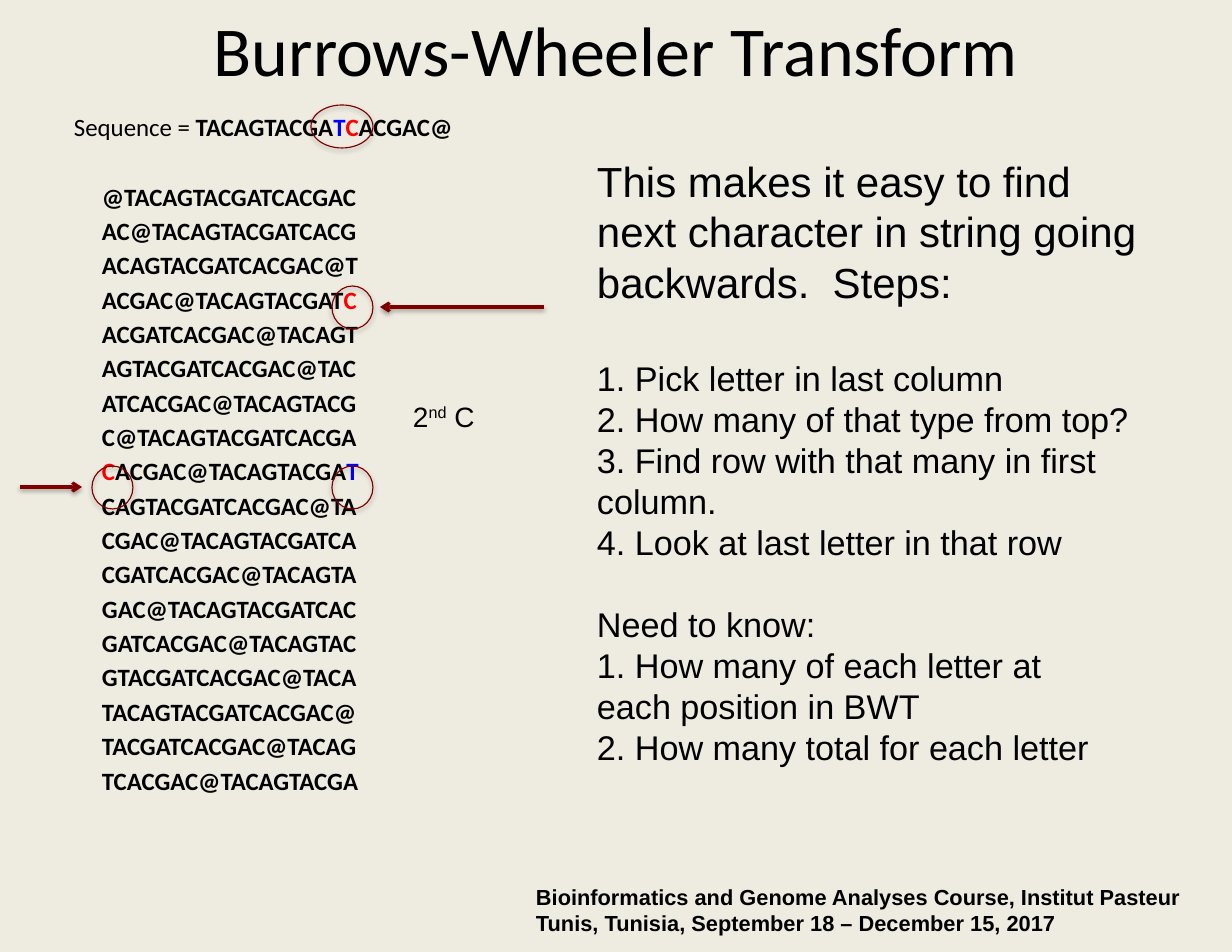
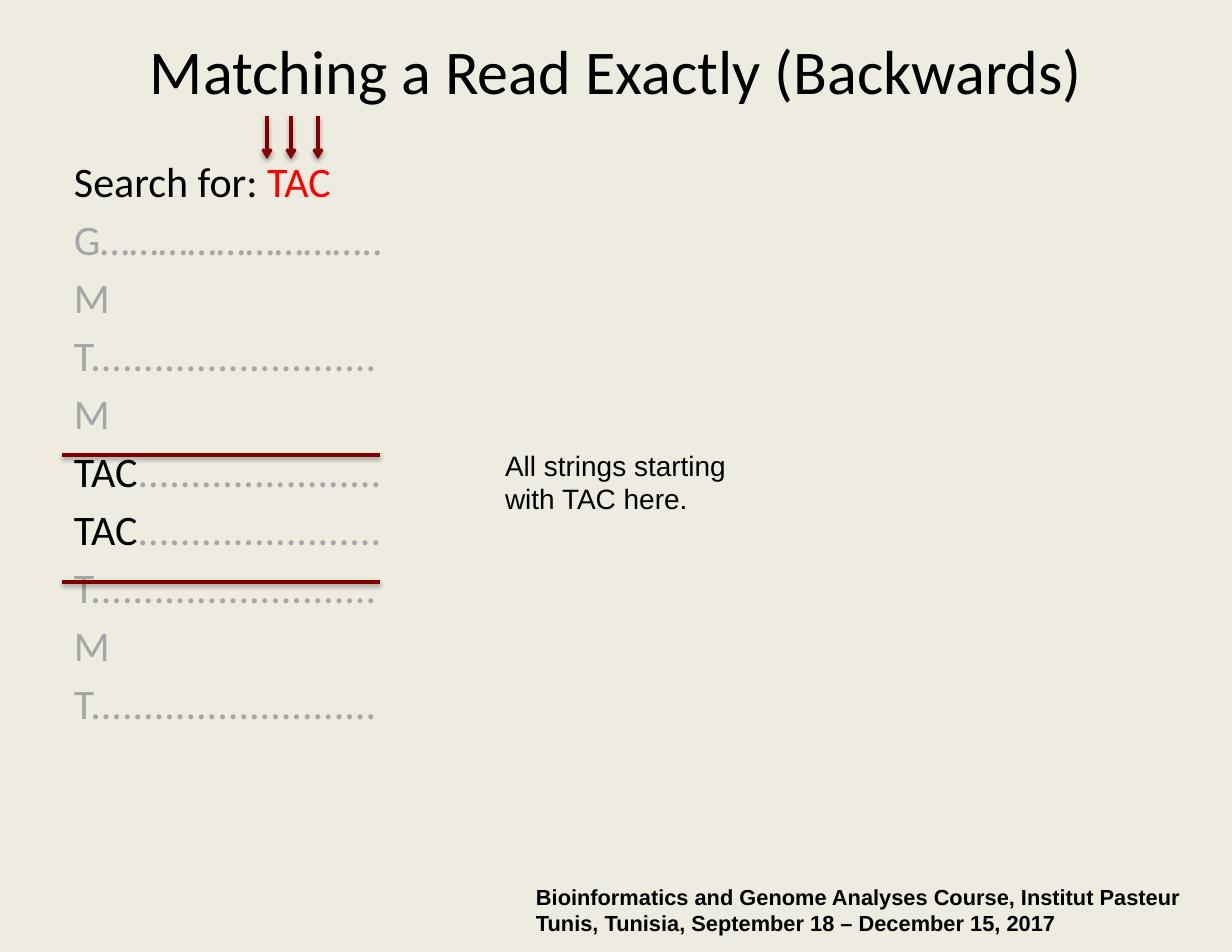
from dataclasses import dataclass

import pptx
import pptx.util
import pptx.dml.color
import pptx.enum.shapes
import pptx.enum.text
import pptx.oxml
import pptx.oxml.ns
from lxml import etree

RGBColor = pptx.dml.color.RGBColor
BACKGROUND = RGBColor(0xEE, 0xEC, 0xE1)
BLACK = RGBColor(0x00, 0x00, 0x00)
RED = RGBColor(0xFF, 0x00, 0x00)
BLUE = RGBColor(0x00, 0x00, 0xFF)
GRAY = RGBColor(0xA6, 0xA6, 0xA6)
MAROON = RGBColor(0x80, 0x00, 0x00)

PX_PER_INCH = 112
TITLE_FONT = "Calibri"
TEXT_FONT = "Arial"
SEQUENCE = "TACAGTACGATCACGAC@"


@dataclass(frozen=True)
class Box:
    x: int
    y: int
    w: int
    h: int


@dataclass(frozen=True)
class Run:
    text: str
    color: RGBColor = BLACK
    bold: bool = False
    superscript: bool = False


@dataclass(frozen=True)
class Para:
    runs: list[Run]
    size: float
    before: float = 0
    line: float | None = None
    indent: int = 0


@dataclass(frozen=True)
class Line:
    x1: int
    y1: int
    x2: int
    y2: int
    arrow: bool = True


def px(n: int) -> pptx.util.Emu:
    return pptx.util.Emu(round(n * 914400 / PX_PER_INCH))


def place(sp, box: Box) -> None:
    sp.left, sp.top, sp.width, sp.height = px(box.x), px(box.y), px(box.w), px(box.h)


def add_shadow(sp, opacity: int) -> None:
    spPr = sp._element.spPr
    effects = etree.SubElement(spPr, pptx.oxml.ns.qn("a:effectLst"))
    shadow = etree.SubElement(
        effects, pptx.oxml.ns.qn("a:outerShdw"),
        blurRad="39370", dist="20320", dir="5400000", rotWithShape="0")
    color = etree.SubElement(shadow, pptx.oxml.ns.qn("a:srgbClr"), val="000000")
    etree.SubElement(color, pptx.oxml.ns.qn("a:alpha"), val=str(opacity * 1000))


def fill_text(tf, paras: list[Para], font: str) -> None:
    tf.word_wrap = True
    tf.auto_size = pptx.enum.text.MSO_AUTO_SIZE.NONE
    tf.margin_left = tf.margin_right = px(12)
    tf.margin_top = tf.margin_bottom = px(7)
    for i, para in enumerate(paras):
        p = tf.paragraphs[0] if i == 0 else tf.add_paragraph()
        pPr = p._p.get_or_add_pPr()
        pPr.set("marL", str(px(para.indent)))
        pPr.set("indent", "0")
        etree.SubElement(pPr, pptx.oxml.ns.qn("a:buNone"))
        p.space_before = pptx.util.Pt(para.before)
        if para.line:
            p.line_spacing = pptx.util.Pt(para.line)
        for run in para.runs:
            if run.text == "\n":
                p.add_line_break()
                continue
            r = p.add_run()
            r.text = run.text
            r.font.name = font
            r.font.size = pptx.util.Pt(para.size)
            r.font.bold = run.bold
            r.font.color.rgb = run.color
            if run.superscript:
                r._r.get_or_add_rPr().set("baseline", "30000")


def add_text(s, box: Box, paras: list[Para]) -> None:
    sp = s.shapes.add_textbox(px(box.x), px(box.y), px(box.w), px(box.h))
    fill_text(sp.text_frame, paras, TEXT_FONT)


def add_line(s, line: Line) -> None:
    sp = s.shapes.add_connector(
        pptx.enum.shapes.MSO_CONNECTOR.STRAIGHT,
        px(line.x1), px(line.y1), px(line.x2), px(line.y2))
    sp.line.color.rgb = MAROON
    sp.line.width = pptx.util.Pt(2)
    if line.arrow:
        ln = sp.line._get_or_add_ln()
        etree.SubElement(ln, pptx.oxml.ns.qn("a:tailEnd"), type="arrow")
    add_shadow(sp, 38)


def add_ring(s, box: Box) -> None:
    sp = s.shapes.add_shape(
        pptx.enum.shapes.MSO_SHAPE.OVAL, px(box.x), px(box.y), px(box.w), px(box.h))
    sp.fill.background()
    sp.line.color.rgb = MAROON
    sp.line.width = pptx.util.Pt(0.75)
    add_shadow(sp, 35)


def add_slide(prs, title: str, size: float, title_y: int, body: Box, paras: list[Para]):
    s = prs.slides.add_slide(prs.slide_layouts[1])
    sp = s.shapes.title
    place(sp, Box(62, title_y, 1108, 159))
    fill_text(sp.text_frame, [Para([Run(title)], size)], TITLE_FONT)
    sp.text_frame.vertical_anchor = pptx.enum.text.MSO_ANCHOR.MIDDLE
    sp.text_frame.paragraphs[0].alignment = pptx.enum.text.PP_ALIGN.CENTER
    sp = s.placeholders[1]
    place(sp, body)
    fill_text(sp.text_frame, paras, TITLE_FONT)
    footer = [
        "Bioinformatics and Genome Analyses Course, Institut Pasteur",
        "Tunis, Tunisia, September 18 – December 15, 2017",
    ]
    add_text(s, Box(524, 877, 708, 67),
             [Para([Run(text, bold=True)], 14, line=16.7) for text in footer])
    return s


def rotation_paras() -> list[Para]:
    rotations = sorted(SEQUENCE[i:] + SEQUENCE[:i] for i in range(len(SEQUENCE)))
    marked = {3: {17: RED}, 8: {0: RED, 17: BLUE}}
    paras = []
    for i, rotation in enumerate(rotations):
        runs = []
        start = 0
        for at, color in marked.get(i, {}).items():
            if at > start:
                runs.append(Run(rotation[start:at], bold=True))
            runs.append(Run(rotation[at], color, bold=True))
            start = at + 1
        if start < len(rotation):
            runs.append(Run(rotation[start:], bold=True))
        paras.append(Para(runs, 16, before=25.3 if i == 0 else 2.9, indent=28))
    return paras


def build_transform(prs) -> None:
    sequence = Para([
        Run("Sequence = "),
        Run(SEQUENCE[:10], bold=True),
        Run(SEQUENCE[10], BLUE, bold=True),
        Run(SEQUENCE[11], RED, bold=True),
        Run(SEQUENCE[12:], bold=True),
    ], 16)
    s = add_slide(prs, "Burrows-Wheeler Transform", 45, -31,
                  Box(62, 105, 1108, 709), [sequence] + rotation_paras())

    steps = [
        "1. Pick letter in last column",
        "2. How many of that type from top?",
        "3. Find row with that many in first column.",
        "4. Look at last letter in that row",
    ]
    needs = [
        [Run("Need to know:")],
        [Run("1. How many of each letter at"), Run("\n"), Run("each position in BWT")],
        [Run("2. How many total for each letter")],
    ]
    intro = "This makes it easy to find next character in string going backwards.  Steps:"
    paras = [Para([Run(intro)], 27, line=32.5)]
    paras += [Para([Run(text)], 22, before=0 if i else 32.5, line=26.4)
              for i, text in enumerate(steps)]
    paras += [Para(runs, 22, before=0 if i else 26.4, line=26.4)
              for i, runs in enumerate(needs)]
    add_text(s, Box(585, 148, 585, 672), paras)
    add_text(s, Box(401, 393, 143, 47),
             [Para([Run("2"), Run("nd", superscript=True), Run(" C")], 18, line=21.2)])

    for line in (Line(544, 307, 380, 307), Line(20, 487, 82, 487)):
        add_line(s, line)
    add_ring(s, Box(311, 105, 62, 43))
    for x, y in ((332, 286), (92, 466), (332, 466)):
        add_ring(s, Box(x, y, 41, 43))


def build_matching(prs) -> None:
    t_row = [Run("T...........................", GRAY)]
    m_row = [Run("M", GRAY)]
    tac_row = [Run("TAC"), Run(".......................", GRAY)]
    rows = [
        [Run("Search for: "), Run("TAC", RED)],
        [Run("G………………………..", GRAY)],
        m_row, t_row, m_row, tac_row, tac_row, t_row, m_row, t_row,
    ]
    s = add_slide(prs, "Matching a Read Exactly (Backwards)", 40, -10,
                  Box(62, 148, 1108, 628),
                  [Para(runs, 27, before=4.9 if i else 0) for i, runs in enumerate(rows)])
    for y in (455, 582):
        add_line(s, Line(380, y, 62, y, arrow=False))
    for x in (267, 291, 318):
        add_line(s, Line(x, 116, x, 159))
    add_text(s, Box(493, 442, 267, 81),
             [Para([Run("All strings starting with TAC here.")], 18, line=21.2)])


def main() -> None:
    prs = pptx.Presentation()
    prs.slide_width = px(11 * PX_PER_INCH)
    prs.slide_height = px(952)
    fill = prs.slide_master.background.fill
    fill.solid()
    fill.fore_color.rgb = BACKGROUND
    build_transform(prs)
    build_matching(prs)
    prs.save("out.pptx")


if __name__ == "__main__":
    main()
